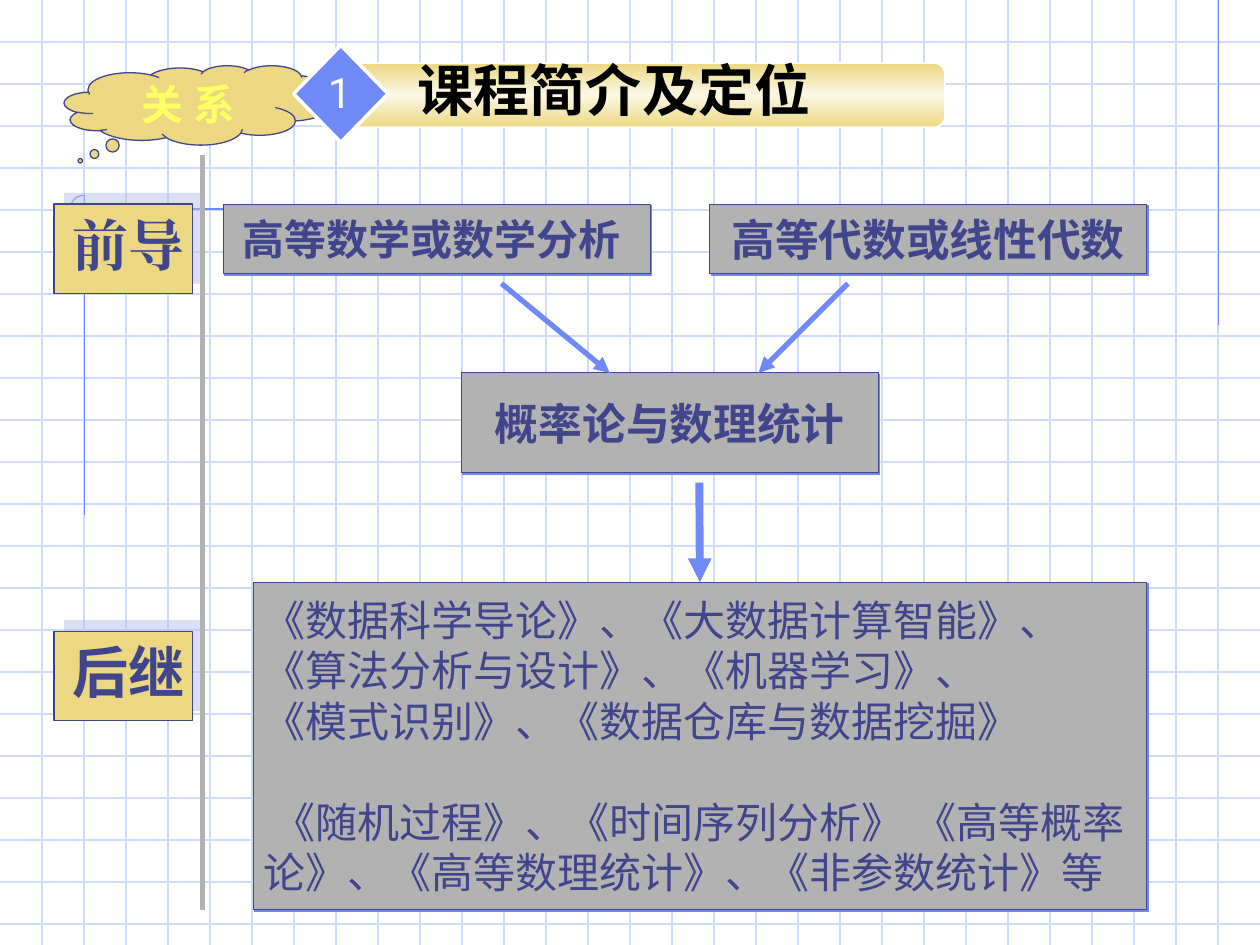
from copy import deepcopy

from lxml.etree import SubElement
from pptx import Presentation
from pptx.dml.color import RGBColor
from pptx.enum.shapes import MSO_CONNECTOR, MSO_SHAPE as SHAPE
from pptx.enum.text import MSO_ANCHOR as ANCHOR, MSO_AUTO_SIZE, PP_ALIGN as ALIGN
from pptx.oxml.ns import qn
from pptx.util import Inches, Pt

NAVY = RGBColor(0x40, 0x45, 0x8C)
BLUE = RGBColor(0x6F, 0x89, 0xF7)
PALE_BLUE = RGBColor(0xCF, 0xDB, 0xFD)
LILAC = RGBColor(0xB7, 0xC1, 0xEB)
GOLD = RGBColor(0xEC, 0xD8, 0x82)
CREAM = RGBColor(0xFB, 0xF7, 0xE5)
YELLOW = RGBColor(0xFF, 0xFF, 0x66)
GREY = RGBColor(0xB2, 0xB2, 0xB2)
WHITE = RGBColor(0xFF, 0xFF, 0xFF)
BLACK = RGBColor(0, 0, 0)

# The slide is a grid of 100 columns by 75 rows
COLUMNS, ROWS = 100, 75
RULING = 10 / 3


class SlideBuilder:
    font = "Roboto"

    def __init__(self, presentation):
        self.slide = presentation.slides.add_slide(presentation.slide_layouts[5])
        self.shapes = self.slide.shapes
        self.column = presentation.slide_width / COLUMNS
        self.row = presentation.slide_height / ROWS

    def place(self, *lengths):
        units = (self.column, self.row) * 2
        return [round(length * unit) for length, unit in zip(lengths, units)]

    def line(self, start, end, color, width=0.75, arrow=False, target=None):
        connector = self.shapes.add_connector(
            MSO_CONNECTOR.STRAIGHT, *self.place(*start, *end))
        connector.line.color.rgb = color
        connector.line.width = Pt(width)
        if arrow:
            SubElement(connector.line._ln, qn("a:tailEnd"), type="triangle")
        if target is not None:
            connector.end_connect(target, 0)
        SubElement(connector._element.spPr, qn("a:effectLst"))

    def shape(self, kind, at, fill, outline, width=0.75, adjustments=()):
        shape = self.shapes.add_shape(kind, *self.place(*at))
        for index, value in enumerate(adjustments):
            shape.adjustments[index] = value
        if fill is None:
            shape.fill.background()
        else:
            shape.fill.solid()
            shape.fill.fore_color.rgb = fill
        shape.line.color.rgb = outline
        shape.line.width = Pt(width)
        shape.shadow.inherit = False
        return shape

    def shadow(self, shape, color, distance, direction, opacity):
        effects = shape._element.spPr.find(qn("a:effectLst"))
        outer = SubElement(effects, qn("a:outerShdw"), blurRad="0", dist=str(Pt(distance)),
                           dir=str(direction * 60000), algn="ctr", rotWithShape="0")
        tint = SubElement(outer, qn("a:srgbClr"), val=str(color))
        SubElement(tint, qn("a:alpha"), val=str(opacity * 1000))

    def gradient(self, shape, *colors):
        shape.fill.gradient()
        shape.fill.gradient_angle = 90
        stop_list = shape._element.spPr.find(".//" + qn("a:gsLst"))
        while len(stop_list) < len(colors):
            stop_list.append(deepcopy(stop_list[0]))
        for index, stop in enumerate(shape.fill.gradient_stops):
            stop.position = index / (len(colors) - 1)
            stop.color.rgb = colors[index]

    def text(self, shape, paragraphs, size, color, bold=True, font=None, align=ALIGN.CENTER,
             anchor=ANCHOR.MIDDLE, insets=(0.1, 0.05), gaps=(), wrap=True):
        frame = shape.text_frame
        frame.word_wrap = wrap
        frame.auto_size = MSO_AUTO_SIZE.NONE
        frame.vertical_anchor = anchor
        frame.margin_left = frame.margin_right = Inches(insets[0])
        frame.margin_top = frame.margin_bottom = Inches(insets[1])
        for index, words in enumerate(paragraphs):
            paragraph = frame.add_paragraph() if index else frame.paragraphs[0]
            paragraph.alignment = align
            if index and gaps:
                paragraph.space_before = Pt(gaps[index])
            run = paragraph.add_run()
            run.text = words
            run.font.name = font or self.font
            run.font.size = Pt(size)
            run.font.bold = bold
            run.font.color.rgb = color
            SubElement(run._r.get_or_add_rPr(), qn("a:ea"), typeface=font or self.font)

    def text_box(self, at, words, size, color, **style):
        box = self.shapes.add_textbox(*self.place(*at))
        self.text(box, [words], size, color, anchor=ANCHOR.TOP, **style)

    def course_box(self, at, paragraphs, size, **style):
        box = self.shape(SHAPE.RECTANGLE, at, GREY, NAVY, 0.5)
        self.shadow(box, BLUE, 1.4, 45, 100)
        self.text(box, paragraphs, size, NAVY, insets=(0.08, 0.08), **style)
        return box

    def title(self, at, words, size):
        title = self.shapes.title
        title.left, title.top, title.width, title.height = self.place(*at)
        self.text(title, [words], size, BLACK, anchor=ANCHOR.TOP)
        # Bring the title in front of its banner
        title._element.getparent().append(title._element)


def main():
    presentation = Presentation()
    presentation.slide_width, presentation.slide_height = Inches(10), Inches(7.5)
    builder = SlideBuilder(presentation)

    # Squared paper
    for index in range(1, 23):
        builder.line((0, index * RULING), (COLUMNS, index * RULING), PALE_BLUE)
    for index in range(1, 30):
        builder.line((index * RULING, 0), (index * RULING, ROWS), PALE_BLUE)

    # Margin rules and their arc
    builder.line((96.7, 0), (96.7, 25.8), BLUE)
    builder.line((24, 16.6), (4.5, 16.6), BLUE)
    builder.line((6.7, 15.5), (6.7, 40.9), BLUE)
    builder.shape(SHAPE.ARC, (5.6, 15.5, 2.1, 2.1), None, BLUE, adjustments=(0, 162))

    # Stage labels beside the vertical divider
    stages = [(50.1, "后继", "Roboto"), (16.2, "前导", "Cambria")]
    for top, _, _ in stages:
        label = builder.shape(SHAPE.RECTANGLE, (4.3, top, 11, 7.1), GOLD, NAVY)
        builder.shadow(label, LILAC, 8.5, 315, 50)
    builder.line((16.1, 12.3), (16.1, 72.2), GREY, 3)
    for top, words, font in stages:
        builder.text_box((4.3, top, 11.8, 6.4), words, 32, NAVY, font=font)

    # Courses and their order
    builder.course_box((17.7, 16.2, 33.9, 5.5), ["高等数学或数学分析 "], 24)
    builder.course_box((56.3, 16.2, 34.7, 5.5), ["高等代数或线性代数"], 25)
    builder.course_box((36.6, 29.6, 33.1, 7.9), ["概率论与数理统计"], 25)
    later_courses = builder.course_box((20.1, 46.2, 70.9, 26), [
        "《数据科学导论》、《大数据计算智能》、《算法分析与设计》、《机器学习》、",
        "《模式识别》、《数据仓库与数据挖掘》",
        " 《随机过程》、《时间序列分析》 《高等概率论》、《高等数理统计》、《非参数统计》等",
    ], 24, bold=False, align=ALIGN.LEFT, gaps=(0, 0, 29))
    builder.line((39.8, 22.5), (48.4, 29.6), BLUE, 3, arrow=True)
    builder.line((67.3, 22.5), (60.2, 29.6), BLUE, 3, arrow=True)
    builder.line((55.5, 38.3), (55.5, 46.2), BLUE, 4.5, arrow=True, target=later_courses)

    # Heading: cloud, banner, number and title
    cloud = builder.shape(SHAPE.CLOUD_CALLOUT, (5.1, 5.2, 21.2, 6.3), GOLD, NAVY,
                          adjustments=(-0.44, 0.7))
    builder.text(cloud, ["关 系"], 24, YELLOW, font="Noto Sans CJK SC")
    banner = builder.shape(SHAPE.ROUNDED_RECTANGLE, (27.5, 5, 47.5, 5.1), GOLD, WHITE, 1,
                           adjustments=(0.17,))
    builder.gradient(banner, GOLD, CREAM, GOLD)
    builder.shape(SHAPE.DIAMOND, (23.3, 3.6, 7.5, 7.7), BLUE, WHITE, 2)
    builder.title((30, 3.9, 37.5, 6.4), "课程简介及定位", 32)
    builder.text_box((25, 4.8, 3.9, 5), "1", 24, WHITE, bold=False, wrap=False)

    presentation.save("out.pptx")


if __name__ == "__main__":
    main()
